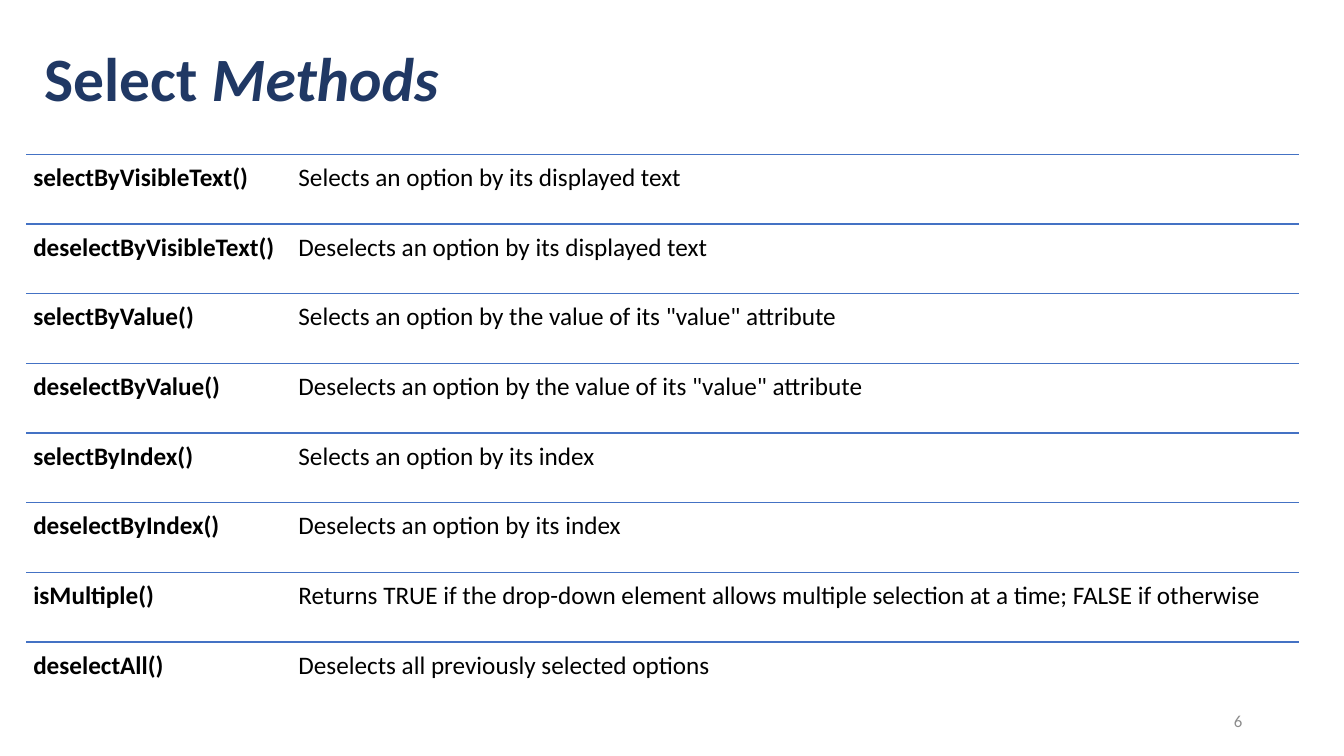
"""Build a slide that lists the Select methods and what each one does."""
from lxml.etree import SubElement
from pptx import Presentation
from pptx.dml.color import RGBColor
from pptx.enum.shapes import MSO_CONNECTOR
from pptx.enum.text import MSO_ANCHOR, PP_ALIGN
from pptx.oxml.ns import qn
from pptx.util import Inches, Pt

TITLE = [("Select ", True, False), ("Methods", True, True)]
METHODS = [
    ("selectByVisibleText()", "Selects an option by its displayed text"),
    ("deselectByVisibleText()", "Deselects an option by its displayed text"),
    ("selectByValue()", 'Selects an option by the value of its "value" attribute'),
    ("deselectByValue()", 'Deselects an option by the value of its "value" attribute'),
    ("selectByIndex()", "Selects an option by its index"),
    ("deselectByIndex()", "Deselects an option by its index"),
    ("isMultiple()", "Returns TRUE if the drop-down element allows multiple selection "
                     "at a time; FALSE if otherwise"),
    ("deselectAll()", "Deselects all previously selected options"),
]
PAGE_NUMBER = "6"

FONT = "Calibri"
NAVY, BLUE, BLACK, GRAY = "203864", "4472C4", "000000", "8C8C8C"
LIST_LEFT, LIST_TOP, LIST_WIDTH = 0.26, 1.53, 12.62
ROW_HEIGHT = 4.84 / 7
ROW_INSET = 0.07
DESCRIPTION_TAB = 2.63


def color(value):
    return RGBColor.from_string(value)


def set_font(font, size, ink):
    font.name = FONT
    font.size = Pt(size)
    font.color.rgb = color(ink)


def add_box(left, top, width, height, anchor, inset=None):
    box = page.shapes.add_textbox(Inches(left), Inches(top), Inches(width), Inches(height))
    frame = box.text_frame
    frame.word_wrap = True
    frame.vertical_anchor = anchor
    if inset is not None:
        frame.margin_left = frame.margin_right = Inches(inset)
        frame.margin_top = frame.margin_bottom = Inches(inset)
    return frame.paragraphs[0]


def add_spans(para, spans, size, ink):
    for text, bold, italic in spans:
        span = para.add_run()
        span.text = text
        set_font(span.font, size, ink)
        span.font.bold = bold
        span.font.italic = italic


def add_tab_stop(para, position):
    stops = SubElement(para._p.get_or_add_pPr(), qn("a:tabLst"))
    SubElement(stops, qn("a:tab"), pos=str(Inches(position)), algn="l")


def add_rule(top):
    rule = page.shapes.add_connector(
        MSO_CONNECTOR.STRAIGHT, Inches(LIST_LEFT), Inches(top),
        Inches(LIST_LEFT + LIST_WIDTH), Inches(top))
    rule.line.color.rgb = color(BLUE)
    rule.line.width = Pt(1)
    SubElement(rule._element.spPr, qn("a:effectLst"))


deck = Presentation()
deck.slide_width, deck.slide_height = Inches(13.33), Inches(7.5)
page = deck.slides.add_slide(deck.slide_layouts[6])

title = add_box(0.34, 0.27, 12.63, 1.08, MSO_ANCHOR.MIDDLE)
title.line_spacing = 0.9
add_spans(title, TITLE, 44, NAVY)

for index, (method, description) in enumerate(METHODS):
    top = LIST_TOP + index * ROW_HEIGHT
    add_rule(top)
    row = add_box(LIST_LEFT, top, LIST_WIDTH, ROW_HEIGHT, MSO_ANCHOR.TOP, ROW_INSET)
    add_tab_stop(row, DESCRIPTION_TAB)
    add_spans(row, [(method + "\t", True, False), (description, False, False)], 18, BLACK)

number = add_box(9.42, 6.95, 3, 0.4, MSO_ANCHOR.MIDDLE)
number.text = PAGE_NUMBER
number.alignment = PP_ALIGN.RIGHT
set_font(number.font, 12, GRAY)

deck.save("out.pptx")
